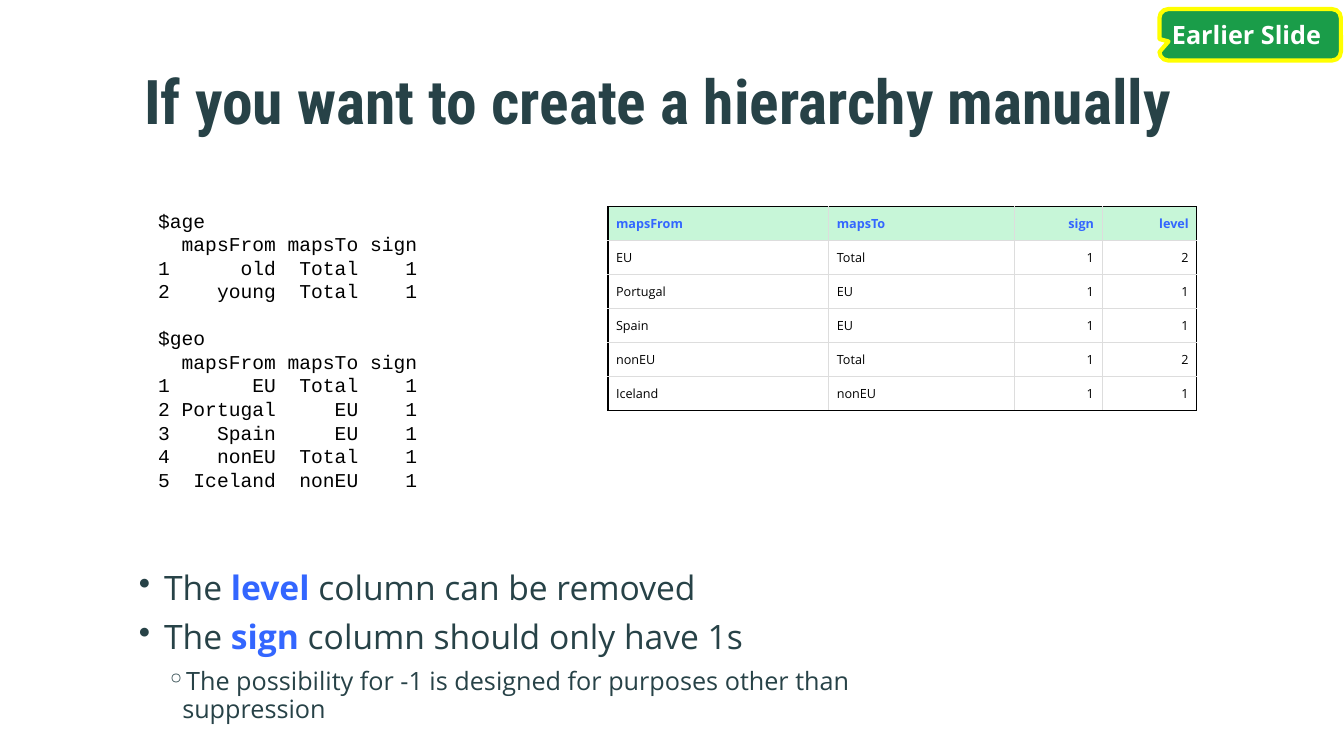
import dataclasses
import typing

import lxml.etree
import pptx
import pptx.dml.color
import pptx.enum.shapes
import pptx.enum.text
import pptx.oxml.ns
import pptx.slide
import pptx.table
import pptx.text.text
import pptx.util

SLIDE_WIDTH = pptx.util.Inches(13.33)
SLIDE_HEIGHT = pptx.util.Inches(7.5)
HEADING_FONT, BODY_FONT, CODE_FONT = "Roboto Condensed", "Open Sans", "Courier New"
INK, ACCENT, BLACK, WHITE = "274247", "3366FF", "000000", "FFFFFF"
HEADER_GREEN, BADGE_GREEN, BADGE_YELLOW, GRID_GRAY = "C7F6D8", "1A9D49", "FFFF00", "DDDDDD"
ALIGN = pptx.enum.text.PP_ALIGN
ANCHOR = pptx.enum.text.MSO_ANCHOR


def across(percent: float) -> int:
    return round(SLIDE_WIDTH * percent / 100)


def down(percent: float) -> int:
    return round(SLIDE_HEIGHT * percent / 100)


@dataclasses.dataclass(frozen=True)
class Area:
    """A rectangle in percent of the slide's width and height."""
    left: float
    top: float
    width: float
    height: float

    def lengths(self) -> tuple[int, int, int, int]:
        return across(self.left), down(self.top), across(self.width), down(self.height)


class Mapping(typing.NamedTuple):
    child: str
    parent: str
    sign: int
    level: int


class Column(typing.NamedTuple):
    heading: str
    width: float
    align: ALIGN


class Bullet(typing.NamedTuple):
    symbol: str
    before: str
    keyword: str
    after: str
    size: float
    indent: float
    hanging: float
    line_spacing: float
    space_after: float


AGE = [Mapping("old", "Total", 1, 1), Mapping("young", "Total", 1, 1)]
GEO = [
    Mapping("EU", "Total", 1, 2),
    Mapping("Portugal", "EU", 1, 1),
    Mapping("Spain", "EU", 1, 1),
    Mapping("nonEU", "Total", 1, 2),
    Mapping("Iceland", "nonEU", 1, 1),
]
COLUMNS = [
    Column("mapsFrom", 16.43, ALIGN.LEFT),
    Column("mapsTo", 13.8, ALIGN.LEFT),
    Column("sign", 6.53, ALIGN.RIGHT),
    Column("level", 7.05, ALIGN.RIGHT),
]
ROW_HEIGHT = 4.5
BULLETS = [
    Bullet("•", "The ", "level ", "column can be removed", 24, 0.25, 0.25, 1.35, 9),
    Bullet("•", "The ", "sign ", "column should only have 1s", 24, 0.25, 0.25, 0.9, 9),
    Bullet("◦", "The possibility for -1 is designed for purposes other than suppression",
           "", "", 18, 0.43, 0.16, 0.9, 6),
]


def rgb(color: str) -> pptx.dml.color.RGBColor:
    return pptx.dml.color.RGBColor.from_string(color)


def write(paragraph: pptx.text.text._Paragraph, text: str, *, size: float,
          font: str = BODY_FONT, color: str = INK, bold: bool = False) -> None:
    run = paragraph.add_run()
    run.text = text
    run.font.size = pptx.util.Pt(size)
    run.font.name = font
    run.font.bold = bold
    run.font.color.rgb = rgb(color)


def add_frame(slide: pptx.slide.Slide, area: Area,
              top_inset: float = 0.05) -> pptx.text.text.TextFrame:
    frame = slide.shapes.add_textbox(*area.lengths()).text_frame
    frame.word_wrap = True
    frame.margin_top = pptx.util.Inches(top_inset)
    return frame


def next_paragraph(frame: pptx.text.text.TextFrame, index: int) -> pptx.text.text._Paragraph:
    return frame.add_paragraph() if index else frame.paragraphs[0]


def add_child(parent: lxml.etree._Element, tag: str, **attributes: str) -> lxml.etree._Element:
    return lxml.etree.SubElement(parent, pptx.oxml.ns.qn(tag), attributes)


def add_title(slide: pptx.slide.Slide) -> None:
    frame = add_frame(slide, Area(9.98, 8, 79.22, 12.4), top_inset=0)
    frame.vertical_anchor = ANCHOR.MIDDLE
    heading = frame.paragraphs[0]
    heading.line_spacing = 0.9
    write(heading, "If you want to create a hierarchy manually",
          size=44, font=HEADING_FONT, bold=True)


def add_bullets(slide: pptx.slide.Slide) -> None:
    frame = add_frame(slide, Area(9.6, 72.53, 65.27, 21.07))
    for index, bullet in enumerate(BULLETS):
        point = next_paragraph(frame, index)
        point.line_spacing = bullet.line_spacing
        point.space_after = pptx.util.Pt(bullet.space_after)
        point.level = int(bullet.symbol == "◦")
        properties = point._p.get_or_add_pPr()
        properties.set("marL", str(pptx.util.Inches(bullet.indent)))
        properties.set("indent", str(-pptx.util.Inches(bullet.hanging)))
        add_child(properties, "a:buChar", char=bullet.symbol)
        write(point, bullet.before, size=bullet.size)
        if bullet.keyword:
            write(point, bullet.keyword, size=bullet.size, color=ACCENT, bold=True)
            write(point, bullet.after, size=bullet.size)


def listing_lines(name: str, mappings: list[Mapping]) -> list[str]:
    rows = [("", "mapsFrom", "mapsTo", "sign")]
    rows += [(str(number), *mapping[:3]) for number, mapping in enumerate(mappings, 1)]
    return [f"${name}"] + [f"{number:1} {child:>8} {parent:>6} {sign:>4}"
                           for number, child, parent, sign in rows]


def add_listing(slide: pptx.slide.Slide) -> None:
    frame = add_frame(slide, Area(11.03, 23.87, 27.68, 42.13), top_inset=0.28)
    lines = listing_lines("age", AGE) + listing_lines("geo", GEO)
    for index, text in enumerate(lines):
        line = next_paragraph(frame, index)
        if text == "$geo":
            line.space_before = pptx.util.Pt(16.8)
        write(line, text, size=14, font=CODE_FONT, color=BLACK)


def set_borders(cell: pptx.table._Cell, outer_sides: set[str]) -> None:
    """Draw gray cell borders, black where a side lies on the table's edge."""
    properties = cell._tc.get_or_add_tcPr()
    for position, side in enumerate("LRTB"):
        color, width = (BLACK, 1) if side in outer_sides else (GRID_GRAY, 0.75)
        border = lxml.etree.Element(pptx.oxml.ns.qn(f"a:ln{side}"), w=str(pptx.util.Pt(width)))
        add_child(add_child(border, "a:solidFill"), "a:srgbClr", val=color)
        properties.insert(position, border)


def add_hierarchy_table(slide: pptx.slide.Slide) -> None:
    rows = [tuple(column.heading for column in COLUMNS), *GEO]
    area = Area(45.24, 27.33, sum(column.width for column in COLUMNS), ROW_HEIGHT * len(rows))
    table = slide.shapes.add_table(len(rows), len(COLUMNS), *area.lengths()).table
    for c, column in enumerate(COLUMNS):
        table.columns[c].width = across(column.width)
        for r, values in enumerate(rows):
            cell, is_header = table.cell(r, c), r == 0
            cell.margin_left = cell.margin_right = pptx.util.Inches(0.08)
            cell.margin_top = cell.margin_bottom = pptx.util.Inches(0.08)
            cell.vertical_anchor = ANCHOR.BOTTOM if is_header else ANCHOR.TOP
            cell.fill.solid()
            cell.fill.fore_color.rgb = rgb(HEADER_GREEN if is_header else WHITE)
            edges = {"L": c == 0, "R": c == len(COLUMNS) - 1, "T": r == 0, "B": r == len(rows) - 1}
            set_borders(cell, {side for side, is_outer in edges.items() if is_outer})
            entry = cell.text_frame.paragraphs[0]
            entry.alignment = column.align
            write(entry, str(values[c]), size=9, bold=is_header,
                  color=ACCENT if is_header else BLACK)


def add_badge(slide: pptx.slide.Slide) -> None:
    badge = slide.shapes.add_shape(pptx.enum.shapes.MSO_SHAPE.ROUNDED_RECTANGULAR_CALLOUT,
                                   *Area(86.27, 1.2, 13.5, 6.8).lengths())
    for index, adjustment in enumerate((-0.45, 0.13, 0.17)):
        badge.adjustments[index] = adjustment
    badge.shadow.inherit = False
    badge.fill.solid()
    badge.fill.fore_color.rgb = rgb(BADGE_GREEN)
    badge.line.color.rgb = rgb(BADGE_YELLOW)
    badge.line.width = pptx.util.Pt(3)
    badge.text_frame.vertical_anchor = ANCHOR.MIDDLE
    label = badge.text_frame.paragraphs[0]
    label.alignment = ALIGN.LEFT
    label.space_after = pptx.util.Pt(9)
    write(label, "Earlier Slide", size=18, color=WHITE, bold=True)


def main() -> None:
    deck = pptx.Presentation()
    deck.slide_width, deck.slide_height = SLIDE_WIDTH, SLIDE_HEIGHT
    slide = deck.slides.add_slide(deck.slide_layouts[6])
    for add_part in (add_title, add_bullets, add_hierarchy_table, add_listing, add_badge):
        add_part(slide)
    deck.save("out.pptx")


if __name__ == "__main__":
    main()
